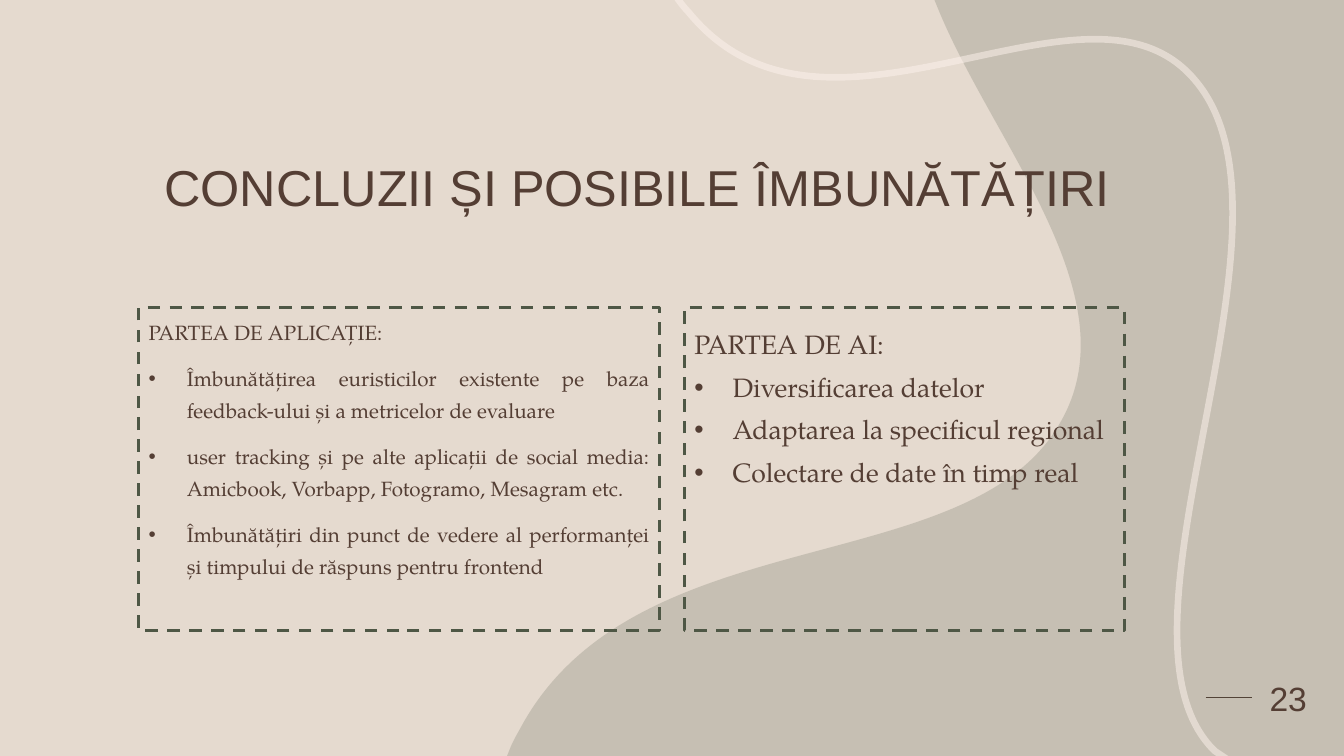
"""Build the closing slide with conclusions and possible improvements."""
from dataclasses import dataclass

import pptx
import pptx.dml.color
import pptx.enum.dml
import pptx.enum.shapes
import pptx.enum.text
import pptx.oxml
import pptx.oxml.ns
import pptx.util
from lxml import etree

WIDTH, HEIGHT = pptx.util.Inches(13.333), pptx.util.Inches(7.5)
SAND, BROWN, OLIVE, CREAM = "E5DACF", "543E34", "4E5745", "FEF3ED"
HEADING_FONT, BODY_FONT = "Arial", "TeX Gyre Pagella"
ALIGN = pptx.enum.text.PP_ALIGN
ANCHOR = pptx.enum.text.MSO_ANCHOR
qn = pptx.oxml.ns.qn

Point = tuple[float, float]


@dataclass(frozen=True)
class Box:
    """A rectangle in percent of the slide's width and height."""
    left: float
    top: float
    width: float
    height: float

    def emu(self) -> tuple[int, int, int, int]:
        """Return left, top, width and height in EMU."""
        return (*place((self.left, self.top)), *place((self.width, self.height)))


@dataclass(frozen=True)
class Panel:
    """A dashed panel with a heading and bullets."""
    box: Box
    size: float
    heading_spacing: float
    bullet_spacing: float
    heading: str
    bullets: tuple[str, ...]


@dataclass(frozen=True)
class Outline:
    """Straight points, followed by cubic curves of two handles and an end."""
    points: tuple[Point, ...]
    curves: tuple[tuple[Point, Point, Point], ...]
    closed: bool


PANELS = (
    Panel(Box(50.93, 40.65, 32.74, 42.75), 19, 1.5, 0.9, "PARTEA DE AI:", (
        "Diversificarea datelor",
        "Adaptarea la specificul regional",
        "Colectare de date în timp real",
    )),
    Panel(Box(10.32, 40.65, 38.76, 42.75), 14.7, 1.3, 1.3, "PARTEA DE APLICAȚIE:", (
        "Îmbunătățirea euristicilor existente pe baza feedback-ului și a metricelor de evaluare",
        "user tracking și pe alte aplicații de social media: "
        "Amicbook, Vorbapp, Fotogramo, Mesagram etc.",
        "Îmbunătățiri din punct de vedere al performanței și timpului de răspuns pentru frontend",
    )),
)
HILL = Outline(
    ((69.53, 0), (100, 0), (100, 100), (37.73, 100), (38.03, 98.67)),
    (
        ((38.33, 97.47), (38.63, 96.67), (38.78, 96.13)),
        ((47.33, 68.27), (72.15, 77.07), (78.9, 55.87)),
        ((84.23, 39.47), (74.1, 19.47), (69.9, 1.6)),
    ),
    True,
)
RIBBON = Outline(
    ((91.28, 100.4), (91.05, 100.13), (90.38, 99.33)),
    (
        ((81.3, 83.6), (98.03, 29.33), (88.88, 10.53)),
        ((80.85, -6.27), (61.5, 24), (51.23, 1.6)),
        ((51, 1.2), (50.7, 0.53), (50.33, -0.4)),
    ),
    False,
)


def place(point: Point) -> tuple[int, int]:
    """Turn percents of the slide into EMU."""
    return round(WIDTH * point[0] / 100), round(HEIGHT * point[1] / 100)


def paint(fill, color: str, opacity: int = 100) -> None:
    """Give a fill a solid colour with an opacity in percent."""
    fill.solid()
    fill.fore_color.rgb = pptx.dml.color.RGBColor.from_string(color)
    if opacity < 100:
        tint = fill._xPr.find(".//" + qn("a:srgbClr"))
        etree.SubElement(tint, qn("a:alpha"), val=str(opacity * 1000))


def stroke(line, color: str, width: float, opacity: int = 100) -> None:
    """Give a line its colour and width."""
    line.width = pptx.util.Pt(width)
    paint(line.fill, color, opacity)


def write(paragraph, text: str, font: str, size: float, align) -> None:
    """Add one brown run to a paragraph."""
    paragraph.alignment = align
    run = paragraph.add_run()
    run.text = text
    run.font.name = font
    run.font.size = pptx.util.Pt(size)
    paint(run.font.fill, BROWN)


def bullet(paragraph) -> None:
    """Hang a round bullet in front of a paragraph."""
    indent = pptx.util.Inches(0.38)
    properties = paragraph._p.get_or_add_pPr()
    properties.set("marL", str(indent))
    properties.set("indent", str(-indent))
    etree.SubElement(properties, qn("a:buFont"), typeface="Arial")
    etree.SubElement(properties, qn("a:buChar"), char="•")


def draw_outline(slide, outline: Outline):
    """Draw an outline as a freeform with cubic curves and no shadow."""
    ends = [curve[-1] for curve in outline.curves]
    start, *rest = [place(point) for point in (*outline.points, *ends)]
    builder = slide.shapes.build_freeform(*start)
    builder.add_line_segments(rest, close=outline.closed)
    shape = builder.convert_to_shape()
    shape.shadow.inherit = False
    segments = list(shape._element.iter(qn("a:lnTo")))[len(outline.points) - 1:]
    for segment, curve in zip(segments, outline.curves):
        bend = etree.Element(qn("a:cubicBezTo"))
        for x, y in map(place, curve):
            etree.SubElement(bend, qn("a:pt"), x=str(x - shape.left), y=str(y - shape.top))
        segment.getparent().replace(segment, bend)
    return shape


def draw_backdrop(slide) -> None:
    """Draw the hill, the ribbon and the rule beside the page number."""
    paint(slide.background.fill, SAND)
    rule = slide.shapes.add_connector(
        pptx.enum.shapes.MSO_CONNECTOR.STRAIGHT, *place((89.7, 92.27)), *place((93.15, 92.27)))
    stroke(rule.line, BROWN, 1.25)
    etree.SubElement(rule._element.spPr, qn("a:effectLst"))
    hill = draw_outline(slide, HILL)
    paint(hill.fill, OLIVE, 20)
    hill.line.fill.background()
    ribbon = draw_outline(slide, RIBBON)
    ribbon.fill.background()
    stroke(ribbon.line, CREAM, 4.75, 50)


def draw_title(slide, text: str) -> None:
    """Place the title above the backdrop."""
    title = slide.shapes.title
    slide.shapes.element.append(title._element)
    title.left, title.top, title.width, title.height = Box(4.95, 13.2, 84.98, 16.27).emu()
    title.text_frame.vertical_anchor = ANCHOR.BOTTOM
    title.text_frame.auto_size = pptx.enum.text.MSO_AUTO_SIZE.NONE
    paragraph = title.text_frame.paragraphs[0]
    paragraph.line_spacing = 0.9
    write(paragraph, text, HEADING_FONT, 36, ALIGN.CENTER)


def draw_page_number(slide, number: str) -> None:
    """Write the page number in the lower right corner."""
    frame = slide.shapes.add_textbox(*Box(93.15, 85.8, 5.4, 13.07).emu()).text_frame
    frame.word_wrap = True
    frame.vertical_anchor = ANCHOR.MIDDLE
    write(frame.paragraphs[0], number, HEADING_FONT, 24, ALIGN.CENTER)


def draw_panel(slide, panel: Panel) -> None:
    """Draw a dashed panel with its heading and bullets."""
    shape = slide.shapes.add_shape(pptx.enum.shapes.MSO_SHAPE.RECTANGLE, *panel.box.emu())
    shape.shadow.inherit = False
    shape.fill.background()
    stroke(shape.line, OLIVE, 2.25)
    shape.line.dash_style = pptx.enum.dml.MSO_LINE.DASH
    frame = shape.text_frame
    frame.word_wrap = True
    frame.vertical_anchor = ANCHOR.TOP
    for index, text in enumerate((panel.heading, *panel.bullets)):
        paragraph = frame.add_paragraph() if index else frame.paragraphs[0]
        paragraph.line_spacing = panel.bullet_spacing if index else panel.heading_spacing
        paragraph.space_before = pptx.util.Pt(10)
        write(paragraph, text, BODY_FONT, panel.size, ALIGN.JUSTIFY)
        if index:
            bullet(paragraph)


def main() -> None:
    """Build and save the slide."""
    deck = pptx.Presentation()
    deck.slide_width, deck.slide_height = WIDTH, HEIGHT
    slide = deck.slides.add_slide(deck.slide_layouts[5])
    draw_backdrop(slide)
    draw_title(slide, "CONCLUZII ȘI POSIBILE ÎMBUNĂTĂȚIRI")
    draw_page_number(slide, "23")
    for panel in PANELS:
        draw_panel(slide, panel)
    deck.save("out.pptx")


if __name__ == "__main__":
    main()
